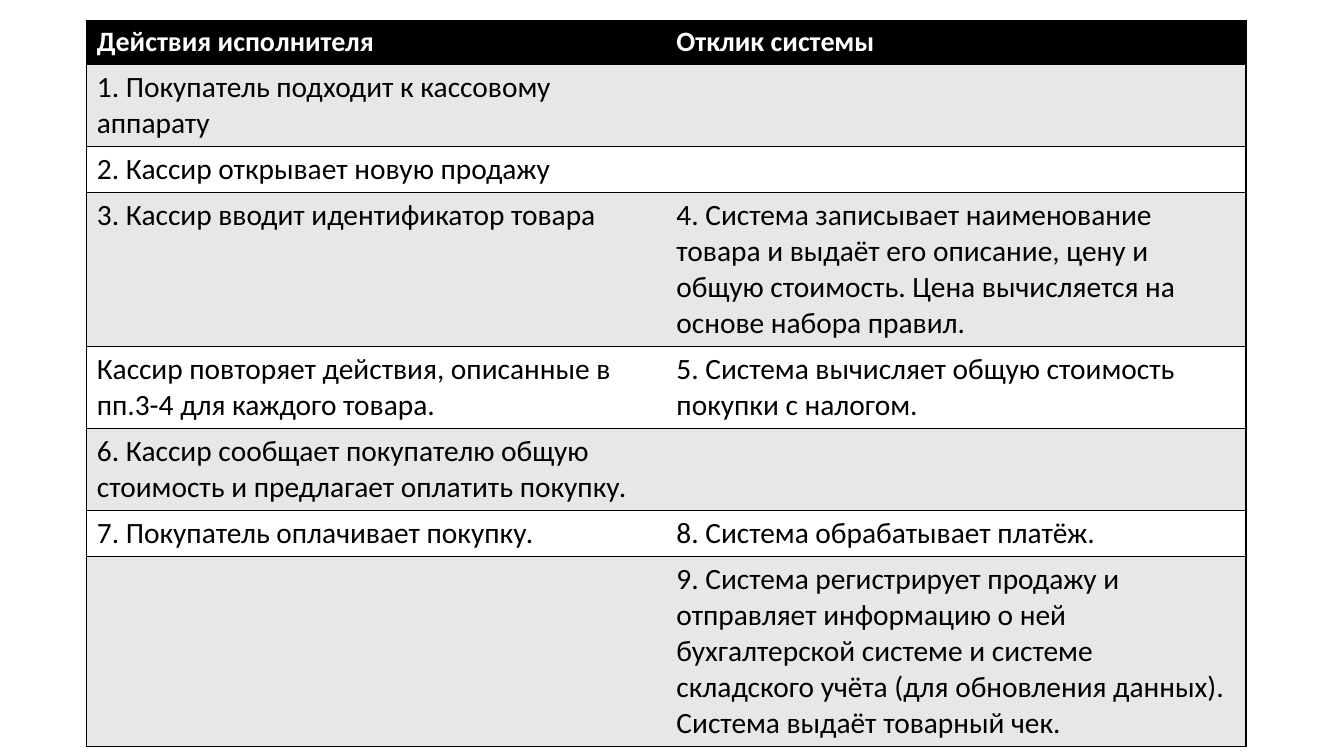
from dataclasses import dataclass

from lxml.etree import SubElement
from pptx import Presentation
from pptx.dml.color import RGBColor as Rgb
from pptx.oxml import parse_xml
from pptx.oxml.ns import nsdecls, qn
from pptx.table import Table, _Cell as Cell
from pptx.util import Pt


@dataclass(frozen=True)
class Theme:
    font: str = "Calibri"
    black: str = "000000"
    white: str = "FFFFFF"
    grey: str = "E7E7E7"
    head: int = 20
    body: int = 21
    line: int = 1


@dataclass(frozen=True)
class Look:
    fill: str
    ink: str
    size: int
    bold: bool


@dataclass(frozen=True)
class Step:
    actor: str = ""
    system: str = ""


THEME = Theme()
HEAD = Look(THEME.black, THEME.white, THEME.head, True)
BANDS = [Look(fill, THEME.black, THEME.body, False)
         for fill in (THEME.white, THEME.grey)]

# Table place, in points
LEFT, TOP, COL, ROW = 62, 14.4, 414, 29.2
# Edges drawn in the actor and system columns
EDGES = ("LTB", "RTB")

STEPS = [
    Step("Действия исполнителя", "Отклик системы"),
    Step("1. Покупатель подходит к кассовому аппарату"),
    Step("2. Кассир открывает новую продажу"),
    Step("3. Кассир вводит идентификатор товара",
         "4. Система записывает наименование товара и выдаёт его описание, "
         "цену и общую стоимость. Цена вычисляется на основе набора правил."),
    Step("Кассир повторяет действия, описанные в пп.3-4 для каждого товара.",
         "5. Система вычисляет общую стоимость покупки с налогом."),
    Step("6. Кассир сообщает покупателю общую стоимость "
         "и предлагает оплатить покупку."),
    Step("7. Покупатель оплачивает покупку.",
         "8. Система обрабатывает платёж."),
    Step("", "9. Система регистрирует продажу и отправляет информацию о ней "
         "бухгалтерской системе и системе складского учёта "
         "(для обновления данных). Система выдаёт товарный чек."),
]


def set_edges(cell: Cell, edges: str) -> None:
    """Draw the named edges and clear the rest."""
    props = cell._tc.get_or_add_tcPr()
    for spot, side in enumerate("LRTB"):
        line = parse_xml(f'<a:ln{side} {nsdecls("a")} w="{Pt(THEME.line)}"/>')
        if side in edges:
            fill = SubElement(line, qn("a:solidFill"))
            SubElement(fill, qn("a:srgbClr"), val=THEME.black)
        else:
            SubElement(line, qn("a:noFill"))
        props.insert(spot, line)


def fill_cell(cell: Cell, text: str, look: Look, edges: str) -> None:
    cell.fill.solid()
    cell.fill.fore_color.rgb = Rgb.from_string(look.fill)
    set_edges(cell, edges)
    if not text:
        return
    run = cell.text_frame.paragraphs[0].add_run()
    run.text = text
    form = {"name": THEME.font, "size": Pt(look.size), "bold": look.bold}
    for key, value in form.items():
        setattr(run.font, key, value)
    run.font.color.rgb = Rgb.from_string(look.ink)


def fill_table(table: Table, steps: list[Step]) -> None:
    table.horz_banding = False
    for col in table.columns:
        col.width = Pt(COL)
    for num, step in enumerate(steps):
        table.rows[num].height = Pt(ROW)
        look = BANDS[num % 2] if num else HEAD
        for col, text in enumerate((step.actor, step.system)):
            fill_cell(table.cell(num, col), text, look, EDGES[col])


# Slide
deck = Presentation()
deck.slide_width, deck.slide_height = Pt(960), Pt(540)
slide = deck.slides.add_slide(deck.slide_layouts[6])

# Table of actor steps and system replies
frame = slide.shapes.add_table(len(STEPS), len(EDGES), Pt(LEFT), Pt(TOP),
                               Pt(COL * len(EDGES)), Pt(ROW * len(STEPS)))
fill_table(frame.table, STEPS)

deck.save("out.pptx")
